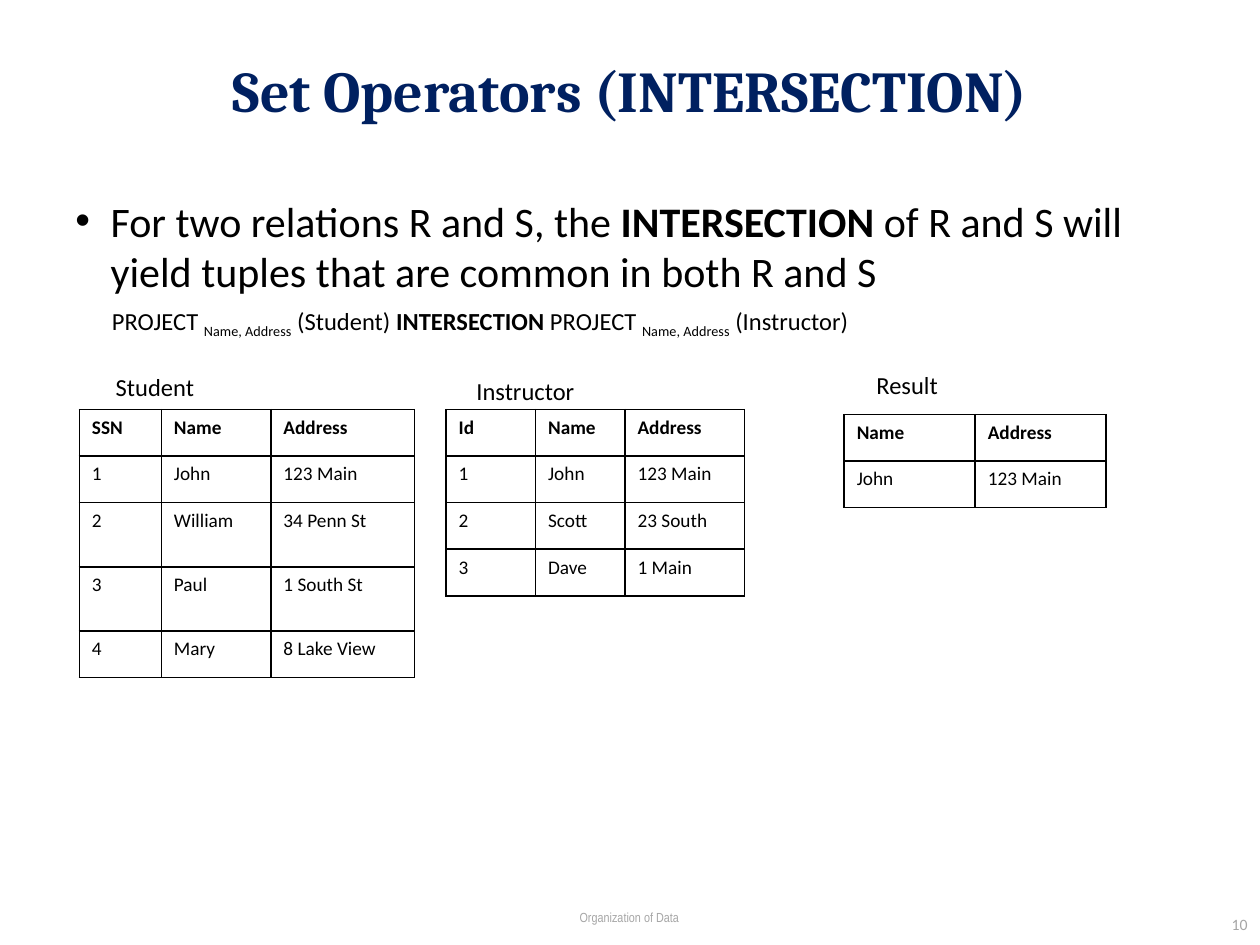
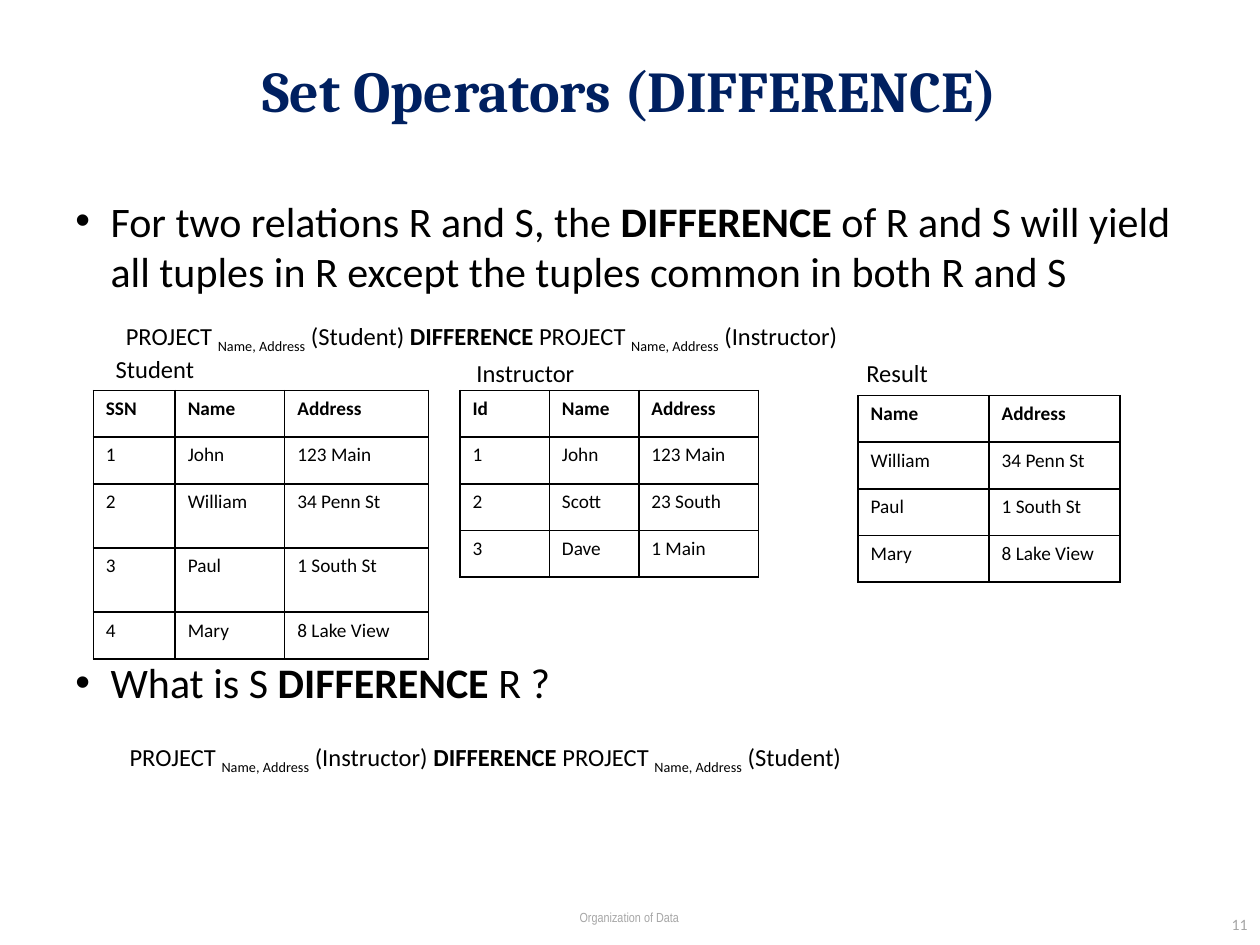
import pptx
import pptx.dml.color
import pptx.enum.text
import pptx.oxml
import pptx.oxml.ns
import pptx.util

Inches = pptx.util.Inches
Pt = pptx.util.Pt
ALIGN = pptx.enum.text.PP_ALIGN
ANCHOR = pptx.enum.text.MSO_ANCHOR

BLACK, WHITE, NAVY, GREY = "000000", "FFFFFF", "002060", "A6A6A6"
TITLE = {"name": "Cambria", "size": Pt(33), "bold": True}
BODY = {"name": "Calibri", "size": Pt(24)}
LABEL = {"name": "Calibri", "size": Pt(14)}
CELL = {"name": "Calibri", "size": Pt(11)}
FOOTER = {"name": "Arial Narrow", "size": Pt(7.5)}
NUMBER = {"name": "Calibri", "size": Pt(9)}
BOLD = {"bold": True}
SUBSCRIPT = -25000

ROW = 0.37
TALL_ROW = 0.51
STUDENT_COLS = [0.65, 0.87, 1.14]
INSTRUCTOR_COLS = [0.71, 0.71, 0.95]
RESULT_COLS = [1.04, 1.04]
STUDENTS = [
    ["SSN", "Name", "Address"],
    ["1", "John", "123 Main"],
    ["2", "William", "34 Penn St"],
    ["3", "Paul", "1 South St"],
    ["4", "Mary", "8 Lake View"],
]
INSTRUCTORS = [
    ["Id", "Name", "Address"],
    ["1", "John", "123 Main"],
    ["2", "Scott", "23 South"],
    ["3", "Dave", "1 Main"],
]


def rgb(value):
    """Turn a hex string into a colour."""
    return pptx.dml.color.RGBColor.from_string(value)


def add_run(p, text, font, color=BLACK, baseline=0):
    """Add a run with the given font values."""
    r = p.add_run()
    r.text = text
    for key, value in font.items():
        setattr(r.font, key, value)
    r.font.color.rgb = rgb(color)
    if baseline:
        r._r.get_or_add_rPr().set("baseline", str(baseline))


def add_box(slide, box, anchor=ANCHOR.MIDDLE):
    """Add an empty wrapping text box and return its frame."""
    tf = slide.shapes.add_textbox(*map(Inches, box)).text_frame
    tf.word_wrap = True
    tf.vertical_anchor = anchor
    return tf


def add_line(slide, box, text, font, color=BLACK, align=ALIGN.CENTER, anchor=ANCHOR.MIDDLE):
    """Add a text box holding one line in one style."""
    p = add_box(slide, box, anchor).paragraphs[0]
    p.alignment = align
    add_run(p, text, font, color)


def add_bullet(p, before, lead, operator, rest, space=4.8):
    """Fill a bulleted paragraph around a bold operator name."""
    p.space_before = Pt(space)
    pPr = p._p.get_or_add_pPr()
    pPr.set("marL", str(Inches(0.28)))
    pPr.set("indent", str(Inches(-0.28)))
    ns = pptx.oxml.ns.nsdecls("a")
    for tag in ('buFont %s typeface="Arial"', 'buChar %s char="\u2022"'):
        pPr.append(pptx.oxml.parse_xml("<a:" + tag % ns + "/>"))
    for text, extra in ((before + lead, {}), (operator, BOLD), (rest, {})):
        add_run(p, text, BODY | extra)


def add_expression(slide, left, top, first, operator, second):
    """Add a projection of two relations joined by a set operator."""
    p = add_box(slide, (left, top, 6.24, 0.38)).paragraphs[0]
    add_run(p, "PROJECT ", LABEL)
    add_run(p, "Name, Address", LABEL, baseline=SUBSCRIPT)
    add_run(p, f" ({first}) ", LABEL)
    add_run(p, operator, LABEL | BOLD)
    add_run(p, " PROJECT ", LABEL)
    add_run(p, "Name, Address", LABEL, baseline=SUBSCRIPT)
    add_run(p, f" ({second})", LABEL)


def style_cell(cell, text, bold):
    """Write a white cell with thin black borders."""
    add_run(cell.text_frame.paragraphs[0], text, CELL | {"bold": bold})
    cell.fill.solid()
    cell.fill.fore_color.rgb = rgb(WHITE)
    tcPr = cell._tc.get_or_add_tcPr()
    ns = pptx.oxml.ns.nsdecls("a")
    for i, side in enumerate("LRTB"):
        tcPr.insert(i, pptx.oxml.parse_xml(
            f'<a:ln{side} {ns} w="{Pt(1)}"><a:solidFill><a:srgbClr val="{BLACK}"/>'
            f"</a:solidFill></a:ln{side}>"))


def add_relation(slide, left, top, cols, rows, tall=()):
    """Add a relation as a table, with the rows in tall made higher."""
    heights = [TALL_ROW if i in tall else ROW for i in range(len(rows))]
    box = map(Inches, (left, top, sum(cols), sum(heights)))
    table = slide.shapes.add_table(len(rows), len(cols), *box).table
    table.first_row = table.horz_banding = False
    for column, width in zip(table.columns, cols):
        column.width = Inches(width)
    for i, values in enumerate(rows):
        table.rows[i].height = Inches(heights[i])
        for j, text in enumerate(values):
            style_cell(table.cell(i, j), text, i == 0)


def add_relations(slide, left, top, result):
    """Add the two operand relations and the result beside them."""
    add_relation(slide, left, top, STUDENT_COLS, STUDENTS, tall=(2, 3))
    add_relation(slide, left + 2.91, top, INSTRUCTOR_COLS, INSTRUCTORS)
    add_relation(slide, left + 6.07, top + 0.04, RESULT_COLS, result)


def add_labels(slide, places):
    """Name the three relations at their left and top places."""
    for text, (left, top) in zip(("Student", "Instructor", "Result"), places):
        add_line(slide, (left, top, 1.46, 0.28), text, LABEL)


def add_operator_slide(prs, number, operator, rest):
    """Add a slide with title, definition and footer; return it with its body."""
    slide = prs.slides.add_slide(prs.slide_layouts[6])
    add_line(slide, (0.5, 0, 9, 1.42), f"Set Operators ({operator})", TITLE, NAVY)
    tf = add_box(slide, (0.5, 1.5, 9, 5.2), ANCHOR.TOP)
    add_bullet(tf.paragraphs[0], "For two relations R and S, ", "the ", operator + " ", rest)
    add_line(slide, (2.83, 7.17, 4.33, 0.31), "Organization of Data", FOOTER, GREY,
             anchor=ANCHOR.TOP)
    add_line(slide, (7.17, 7.17, 2.83, 0.33), str(number), NUMBER, GREY, ALIGN.RIGHT)
    return slide, tf


def add_intersection(prs):
    """Build the slide on intersection."""
    slide, _ = add_operator_slide(
        prs, 10, "INTERSECTION",
        "of R and S will yield tuples that are common in both R and S")
    add_relations(slide, 0.63, 3.25, [row[1:] for row in STUDENTS[:2]])
    add_expression(slide, 0.79, 2.37, "Student", "INTERSECTION", "Instructor")
    add_labels(slide, [(0.5, 2.93), (3.44, 2.96), (6.47, 2.91)])


def add_difference(prs):
    """Build the slide on difference."""
    slide, tf = add_operator_slide(
        prs, 11, "DIFFERENCE",
        "of R and S will yield all tuples in R except the tuples common in both R and S")
    add_bullet(tf.add_paragraph(), "What is ", "S ", "DIFFERENCE", " R ?", space=206)
    add_relations(slide, 0.74, 3.1, [row[1:] for row in STUDENTS[:1] + STUDENTS[2:]])
    add_expression(slide, 0.93, 5.83, "Instructor", "DIFFERENCE", "Student")
    add_expression(slide, 0.9, 2.49, "Student", "DIFFERENCE", "Instructor")
    add_labels(slide, [(0.5, 2.79), (3.44, 2.82), (6.39, 2.82)])


def main():
    """Build and save the presentation."""
    prs = pptx.Presentation()
    prs.slide_width, prs.slide_height = Inches(10), Inches(7.5)
    add_intersection(prs)
    add_difference(prs)
    prs.save("out.pptx")


main()
